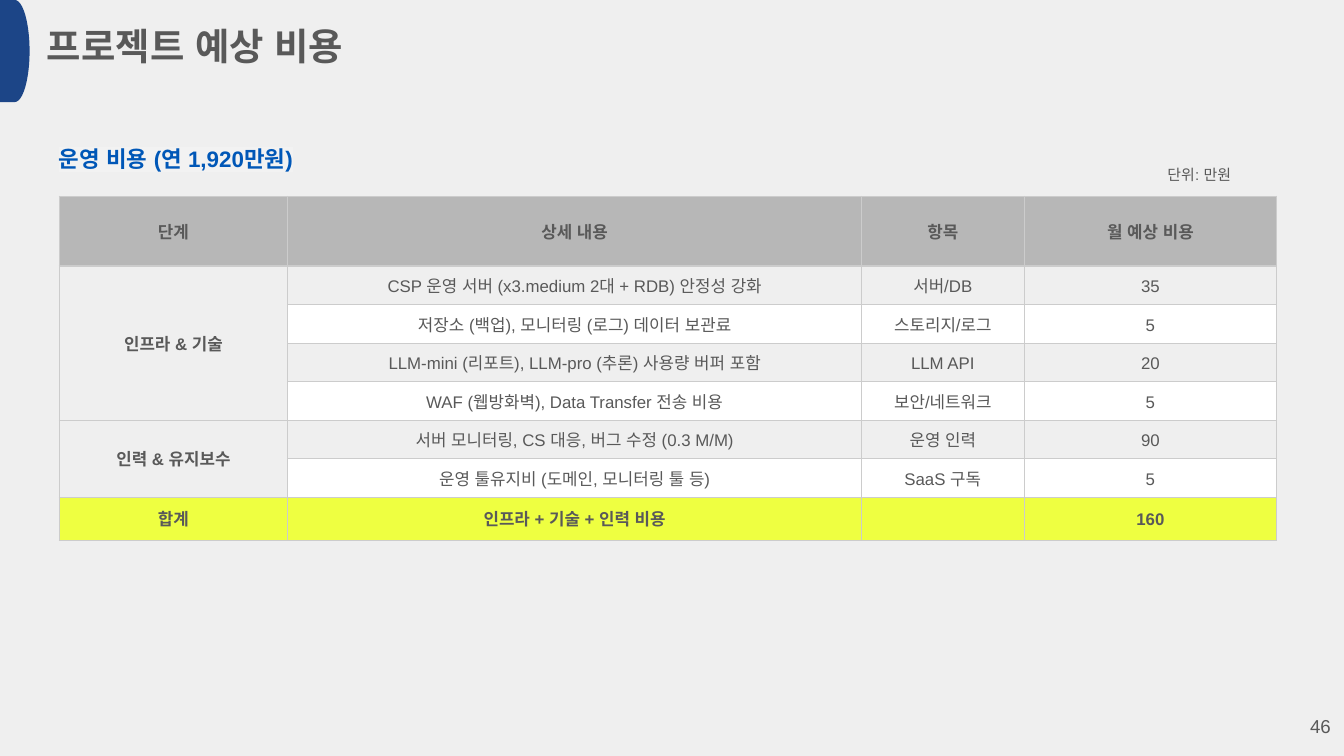
"""Build the slide with the project's expected running costs."""
import pptx
import pptx.dml.color
import pptx.enum.shapes
import pptx.enum.text
import pptx.oxml.ns
import pptx.util
from lxml import etree

Inches = pptx.util.Inches
Pt = pptx.util.Pt
Align = pptx.enum.text.PP_ALIGN
Anchor = pptx.enum.text.MSO_ANCHOR
qn = pptx.oxml.ns.qn

COLORS = {
    "background": "EFEFEF",
    "accent": "1C4587",
    "text": "595959",
    "subtitle": "0057B7",
    "highlight": "F2F2F2",
    "header": "B7B7B7",
    "stripe": "FFFFFF",
    "total": "EEFF41",
    "border": "CCCCCC",
}
FONT = "Arial"
COLUMN_WIDTHS = [1.7, 4.27, 1.21, 1.88]
ROW_HEIGHTS = [0.52] + [1.72 / 6] * 6 + [0.32]
COSTS = [
    ["단계", "상세 내용", "항목", "월 예상 비용"],
    ["인프라 & 기술", "CSP 운영 서버 (x3.medium 2대 + RDB) 안정성 강화", "서버/DB", "35"],
    ["", "저장소 (백업), 모니터링 (로그) 데이터 보관료", "스토리지/로그", "5"],
    ["", "LLM-mini (리포트), LLM-pro (추론) 사용량 버퍼 포함", "LLM API", "20"],
    ["", "WAF (웹방화벽), Data Transfer 전송 비용", "보안/네트워크", "5"],
    ["인력 & 유지보수", "서버 모니터링, CS 대응, 버그 수정 (0.3 M/M)", "운영 인력", "90"],
    ["", "운영 툴유지비 (도메인, 모니터링 툴 등)", "SaaS 구독", "5"],
    ["합계", "인프라 + 기술 + 인력 비용", "", "160"],
]
STAGE_SPANS = [(1, 4), (5, 6)]


def rgb(name):
    """Return the named colour."""
    return pptx.dml.color.RGBColor.from_string(COLORS[name])


def style_run(run, size, color="text", bold=False):
    """Set the font of a run for Latin and Korean letters."""
    run.font.name = FONT
    run.font.size = Pt(size)
    run.font.bold = bold
    run.font.color.rgb = rgb(color)
    latin = run.font._rPr.find(qn("a:latin"))
    for script in ("cs", "ea"):
        latin.addnext(etree.Element(qn(f"a:{script}"), typeface=FONT))


def add_text(slide, box, text, size, color="text", bold=False,
             align=Align.LEFT, anchor=Anchor.TOP, bottom=0.1):
    """Add a one-line text box and return its run."""
    frame = slide.shapes.add_textbox(*map(Inches, box)).text_frame
    frame.word_wrap = True
    frame.vertical_anchor = anchor
    frame.margin_left = frame.margin_right = frame.margin_top = Inches(0.1)
    frame.margin_bottom = Inches(bottom)
    frame.text = text
    paragraph = frame.paragraphs[0]
    paragraph.alignment = align
    run = paragraph.runs[0]
    style_run(run, size, color, bold)
    return run


def highlight(run, color):
    """Put a marker colour behind a run."""
    marker = etree.Element(qn("a:highlight"))
    etree.SubElement(marker, qn("a:srgbClr"), val=COLORS[color])
    run.font._rPr.find(qn("a:solidFill")).addnext(marker)


def add_corner_tab(slide):
    """Add the rounded tab in the top left corner."""
    tab = slide.shapes.add_shape(
        pptx.enum.shapes.MSO_SHAPE.FLOWCHART_DELAY,
        0, 0, Inches(0.22), Inches(0.76))
    tab.shadow.inherit = False
    tab.fill.solid()
    tab.fill.fore_color.rgb = rgb("accent")
    tab.line.fill.background()


def set_borders(cell):
    """Draw the four borders of a cell."""
    properties = cell._tc.get_or_add_tcPr()
    for side in ("lnL", "lnR", "lnT", "lnB"):
        line = etree.SubElement(properties, qn(f"a:{side}"), w=str(Pt(0.68)))
        fill = etree.SubElement(line, qn("a:solidFill"))
        etree.SubElement(fill, qn("a:srgbClr"), val=COLORS["border"])


def fill_cell(cell, color):
    """Fill a cell, or leave it clear when there is no colour."""
    if color:
        cell.fill.solid()
        cell.fill.fore_color.rgb = rgb(color)
    else:
        cell.fill.background()


def write_cell(cell, text, bold):
    """Write centred text in a cell, or keep an empty one low."""
    cell.margin_left = cell.margin_right = Inches(0.03)
    cell.margin_top = cell.margin_bottom = Inches(0.02)
    cell.vertical_anchor = Anchor.MIDDLE
    paragraph = cell.text_frame.paragraphs[0]
    if text:
        cell.text_frame.text = text
        paragraph = cell.text_frame.paragraphs[0]
        paragraph.alignment = Align.CENTER
        paragraph.line_spacing = 1.15
        style_run(paragraph.runs[0], 9, bold=bold)
    else:
        etree.SubElement(paragraph._p, qn("a:endParaRPr"), sz="900")


def cell_color(row, column):
    """Return the fill for a place in the table."""
    if row == 0:
        return "header"
    if row == len(COSTS) - 1:
        return "total"
    return "stripe" if column > 0 and row % 2 == 0 else None


def add_cost_table(slide):
    """Add the table of monthly costs."""
    table = slide.shapes.add_table(
        len(COSTS), len(COLUMN_WIDTHS), Inches(0.44), Inches(1.46),
        Inches(sum(COLUMN_WIDTHS)), Inches(sum(ROW_HEIGHTS))).table
    table.first_row = table.horz_banding = False
    for column, width in zip(table.columns, COLUMN_WIDTHS):
        column.width = Inches(width)
    for row, height in zip(table.rows, ROW_HEIGHTS):
        row.height = Inches(height)
    for first, last in STAGE_SPANS:
        table.cell(first, 0).merge(table.cell(last, 0))
    for row, texts in enumerate(COSTS):
        for column, text in enumerate(texts):
            cell = table.cell(row, column)
            set_borders(cell)
            fill_cell(cell, cell_color(row, column))
            write_cell(cell, text, column == 0 or row in (0, len(COSTS) - 1))


def main():
    """Build and save the slide."""
    deck = pptx.Presentation()
    deck.slide_width = Inches(10)
    deck.slide_height = deck.slide_width * 9 // 16
    slide = deck.slides.add_slide(deck.slide_layouts[6])
    slide.background.fill.solid()
    slide.background.fill.fore_color.rgb = rgb("background")

    add_corner_tab(slide)
    add_text(slide, (0.25, 0.07, 4.83, 0.65), "프로젝트 예상 비용", 20, bold=True)
    add_cost_table(slide)
    subtitle = add_text(slide, (0.34, 0.98, 2.27, 0.4),
                        "운영 비용 (연 1,920만원)", 12, "subtitle", True)
    highlight(subtitle, "highlight")
    add_text(slide, (6.3, 1.13, 2.96, 0.26), "단위: 만원", 8,
             align=Align.RIGHT, bottom=0)
    add_text(slide, (9.4, 5.19, 0.6, 0.43), "46", 10,
             align=Align.RIGHT, anchor=Anchor.MIDDLE)
    deck.save("out.pptx")


if __name__ == "__main__":
    main()
